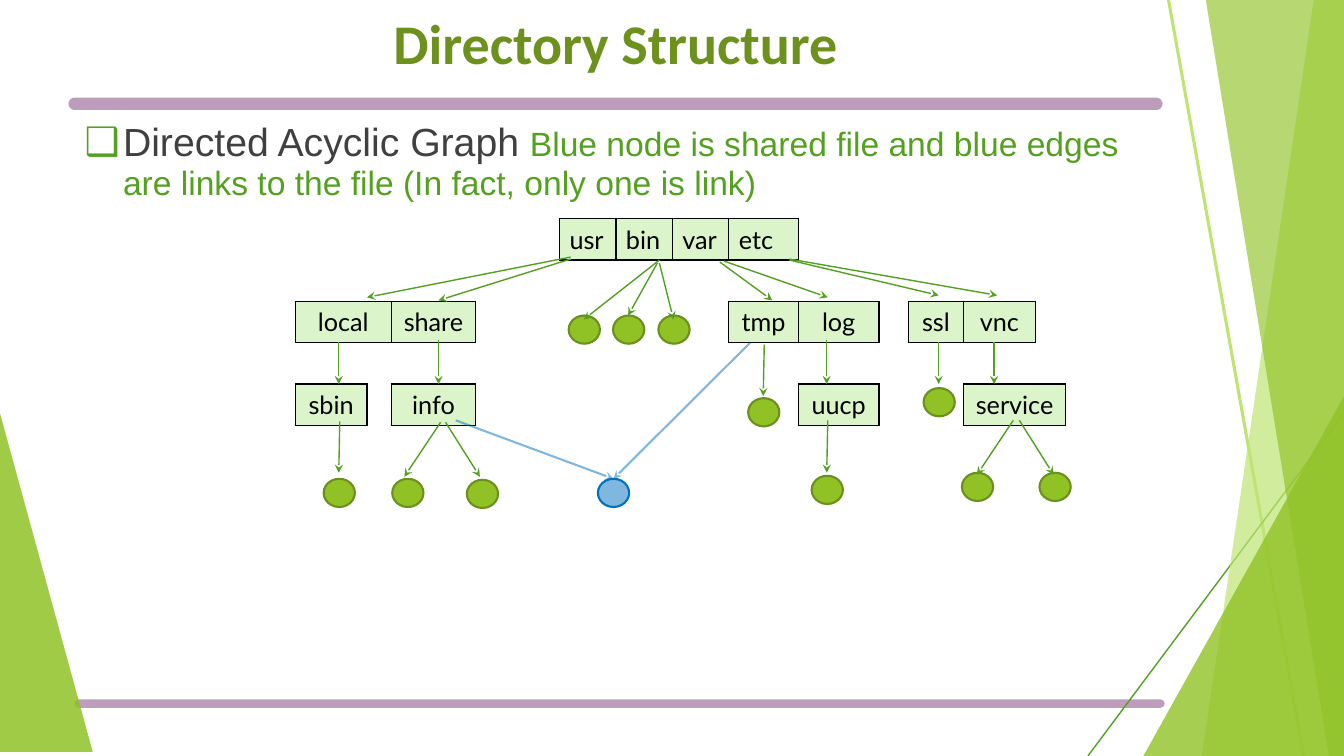
import pptx
import pptx.util
import pptx.dml.color
import pptx.enum.shapes
import pptx.enum.text
import pptx.oxml
import pptx.oxml.ns

Inches = pptx.util.Inches
Pt = pptx.util.Pt
RGBColor = pptx.dml.color.RGBColor
Shape = pptx.enum.shapes.MSO_SHAPE
Align = pptx.enum.text.PP_ALIGN
Anchor = pptx.enum.text.MSO_ANCHOR
qn = pptx.oxml.ns.qn
NS = pptx.oxml.ns.nsdecls("a")

BLACK = RGBColor(0x00, 0x00, 0x00)
GREY = RGBColor(0x40, 0x40, 0x40)
PURPLE = RGBColor(0x7C, 0x3A, 0x7A)
LIME = RGBColor(0xC0, 0xE4, 0x74)
GREEN = RGBColor(0x90, 0xC2, 0x26)
OLIVE = RGBColor(0x6B, 0x90, 0x1C)
TITLE_GREEN = RGBColor(0x6C, 0x92, 0x1D)
DARK_GREEN = RGBColor(0x54, 0xA0, 0x21)
PALE_GREEN = RGBColor(0xDB, 0xF4, 0xCA)
BLUE = RGBColor(0x00, 0x70, 0xC0)

NODE_W, NODE_H = 0.31, 0.28
ROW_H = 0.41
COLS = [0.71, 0.4, 0.31, 0.24, 0.84, 0.27, 0.56, 0.56, 0.56,
        0.56, 0.69, 0.8, 0.29, 0.55, 0.45, 0.26, 0.3, 0.34]
DIRECTORIES = [
    (0, 7, 1, "usr"), (0, 8, 1, "bin"), (0, 9, 1, "var"), (0, 10, 1, "etc"),
    (2, 1, 3, "local"), (2, 4, 1, "share"), (2, 10, 1, "tmp"),
    (2, 11, 1, "log"), (2, 13, 1, "ssl"), (2, 14, 2, "vnc"),
    (4, 1, 2, "sbin"), (4, 4, 1, "info"), (4, 11, 1, "uucp"),
    (4, 14, 3, "service"),
]
FILES = [
    (5.64, 3.13), (6.08, 3.13), (6.53, 3.13), (3.21, 4.75), (3.89, 4.75),
    (4.63, 4.76), (9.16, 3.85), (9.54, 4.69), (10.31, 4.69), (7.42, 3.95),
    (8.05, 4.72),
]
EDGES = [
    (6.54, 2.58, 5.79, 3.17), (6.52, 2.61, 6.23, 3.13),
    (6.54, 2.61, 6.68, 3.17), (5.66, 2.55, 3.64, 2.95),
    (5.66, 2.57, 4.35, 2.98), (7.14, 2.6, 7.66, 2.98),
    (7.18, 2.59, 8.21, 2.95), (7.83, 2.58, 9.31, 2.93),
    (7.83, 2.57, 9.89, 2.93), (3.36, 3.39, 3.36, 3.81),
    (4.35, 3.37, 4.35, 3.81), (7.58, 3.42, 7.57, 3.93),
    (8.2, 3.37, 8.2, 3.81), (9.31, 3.39, 9.31, 3.81),
    (9.86, 3.39, 9.86, 3.81), (3.37, 4.18, 3.36, 4.69),
    (4.37, 4.19, 4.01, 4.73), (4.42, 4.19, 4.76, 4.73),
    (8.21, 4.17, 8.2, 4.69), (10.05, 4.17, 9.69, 4.71),
    (10.11, 4.17, 10.45, 4.71),
]


def apply(obj, fmt):
    for name, value in fmt.items():
        setattr(obj, name, value)


def set_alpha(sp, percent):
    for clr in sp._element.spPr.iter(qn("a:srgbClr")):
        clr.append(pptx.oxml.parse_xml(f'<a:alpha {NS} val="{percent * 1000}"/>'))


def add_run(p, text, color, fmt):
    r = p.add_run()
    r.text = text
    apply(r.font, fmt)
    r.font.color.rgb = color


def add_line(slide, ends, color, width, alpha=100, cap="flat", arrow=False):
    cxn = slide.shapes.add_connector(
        pptx.enum.shapes.MSO_CONNECTOR.STRAIGHT, *map(Inches, ends))
    cxn.line.color.rgb = color
    cxn.line.width = Pt(width)
    ln = cxn.line._get_or_add_ln()
    ln.set("cap", cap)
    if arrow:
        ln.append(pptx.oxml.parse_xml(f'<a:tailEnd {NS} type="stealth"/>'))
    if alpha < 100:
        set_alpha(cxn, alpha)
    cxn._element.spPr.append(pptx.oxml.parse_xml(f"<a:effectLst {NS}/>"))
    return cxn


def fill_shape(sp, color, alpha=100):
    sp.shadow.inherit = False
    sp.fill.solid()
    sp.fill.fore_color.rgb = color
    if alpha < 100:
        set_alpha(sp, alpha)
    sp.line.fill.background()


def add_panel(slide, points, color, alpha):
    (x, y), *rest = [(Inches(x), Inches(y)) for x, y in points]
    fb = slide.shapes.build_freeform(x, y)
    fb.add_line_segments(rest, close=True)
    fill_shape(fb.convert_to_shape(), color, alpha)


def add_triangle(slide, box, apex, alpha):
    sp = slide.shapes.add_shape(Shape.ISOSCELES_TRIANGLE, *map(Inches, box))
    sp.adjustments[0] = apex
    fill_shape(sp, GREEN, alpha)


def add_node(slide, x, y, color, outline, alpha=100):
    sp = slide.shapes.add_shape(
        Shape.OVAL, *map(Inches, (x, y, NODE_W, NODE_H)))
    fill_shape(sp, color, alpha)
    sp.line.color.rgb = outline
    sp.line.width = Pt(1.5)
    return sp


def add_backdrop(slide):
    add_line(slide, (11.47, 1.03, 0.74, 1.03), PURPLE, 8.75, 50, "rnd")
    add_line(slide, (11.51, 6.98, 0.78, 6.98), PURPLE, 6, 50, "rnd")
    add_line(slide, (11.59, 0, 12.93, 7.5), LIME, 2.25)
    add_line(slide, (13.33, 4.1, 10.79, 7.5), DARK_GREEN, 1)
    add_panel(slide, [(13.03, 0), (13.33, 0), (13.33, 7.5), (11.92, 7.5)], LIME, 70)
    add_panel(slide, [(11.96, 0), (13.33, 0), (13.33, 7.5), (13.18, 7.5)], GREEN, 65)
    add_triangle(slide, (11.34, 3.93, 1.99, 3.57), 1, 80)
    add_triangle(slide, (0, 4.1, 0.92, 3.36), 0, 85)


def place_text(slide, sp, box):
    slide.shapes._spTree.append(sp._element)
    apply(sp, dict(zip(("left", "top", "width", "height"), map(Inches, box))))
    apply(sp.text_frame, {"word_wrap": True, "vertical_anchor": Anchor.TOP,
                          "auto_size": pptx.enum.text.MSO_AUTO_SIZE.NONE})
    return sp.text_frame.paragraphs[0]


def add_title(slide):
    p = place_text(slide, slide.shapes.title, (0.74, 0.03, 10.73, 1.01))
    p.alignment = Align.CENTER
    add_run(p, "Directory Structure", TITLE_GREEN,
            {"name": "Calibri", "size": Pt(40), "bold": True})


def add_body(slide):
    p = place_text(slide, slide.placeholders[1], (0.74, 1.15, 10.73, 5.69))
    apply(p, {"line_spacing": 0.94, "space_before": Pt(0)})
    pPr = p._p.get_or_add_pPr()
    pPr.set("marL", str(Inches(0.38)))
    pPr.set("indent", str(Inches(-0.45)))
    for bullet in (f'<a:buClr {NS}><a:srgbClr val="{DARK_GREEN}"/></a:buClr>',
                   f'<a:buFont {NS} typeface="Arial"/>',
                   f'<a:buChar {NS} char="❑"/>'):
        pPr.append(pptx.oxml.parse_xml(bullet))
    add_run(p, "Directed Acyclic Graph ", GREY, {"name": "Arial", "size": Pt(28)})
    add_run(p, "Blue node is shared file and blue edges are links to the file "
            "(In fact, only one is link)", DARK_GREEN,
            {"name": "Arial", "size": Pt(24)})


def add_borders(cell):
    tcPr = cell._tc.get_or_add_tcPr()
    for i, side in enumerate("LRTB"):
        tcPr.insert(i, pptx.oxml.parse_xml(
            f'<a:ln{side} {NS} w="12700"><a:solidFill><a:srgbClr val="{BLACK}"/>'
            f"</a:solidFill></a:ln{side}>"))


def add_directories(slide):
    rows = 7
    box = (2.22, 2.17, sum(COLS), rows * ROW_H)
    tbl = slide.shapes.add_table(rows, len(COLS), *map(Inches, box)).table
    apply(tbl, {"first_row": False, "horz_banding": False})
    style = tbl._tbl.tblPr.find(qn("a:tableStyleId"))
    style.text = "{2D5ABB26-0587-4C30-8999-92F81FD0307C}"
    for col, width in zip(tbl.columns, COLS):
        col.width = Inches(width)
    for cell in tbl.iter_cells():
        cell.fill.background()
        apply(cell, {"margin_top": Inches(0.04), "margin_bottom": Inches(0.04),
                     "vertical_anchor": Anchor.MIDDLE})
    for row, col, span, name in DIRECTORIES:
        cell = tbl.cell(row, col)
        cell.fill.solid()
        cell.fill.fore_color.rgb = PALE_GREEN
        p = cell.text_frame.paragraphs[0]
        p.alignment = Align.CENTER if row else Align.LEFT
        add_run(p, name, BLACK, {"name": "Lato", "size": Pt(18)})
        for i in range(span):
            add_borders(tbl.cell(row, col + i))
        if span > 1:
            cell.merge(tbl.cell(row, col + span - 1))


def main():
    prs = pptx.Presentation()
    apply(prs, {"slide_width": Inches(13.33), "slide_height": Inches(7.5)})
    slide = prs.slides.add_slide(prs.slide_layouts[1])
    add_backdrop(slide)
    add_title(slide)
    add_body(slide)
    add_directories(slide)
    for x, y in FILES:
        add_node(slide, x, y, GREEN, OLIVE)
    for ends in EDGES:
        add_line(slide, ends, DARK_GREEN, 1, arrow=True)
    shared = add_node(slide, 5.93, 4.75, BLUE, BLUE, 50)
    for x, y in [(4.52, 4.17), (7.44, 3.4)]:
        link = add_line(slide, (x, y, 6.09, 4.75), BLUE, 1.5, 50, arrow=True)
        link.end_connect(shared, 0)
    prs.save("out.pptx")


if __name__ == "__main__":
    main()
